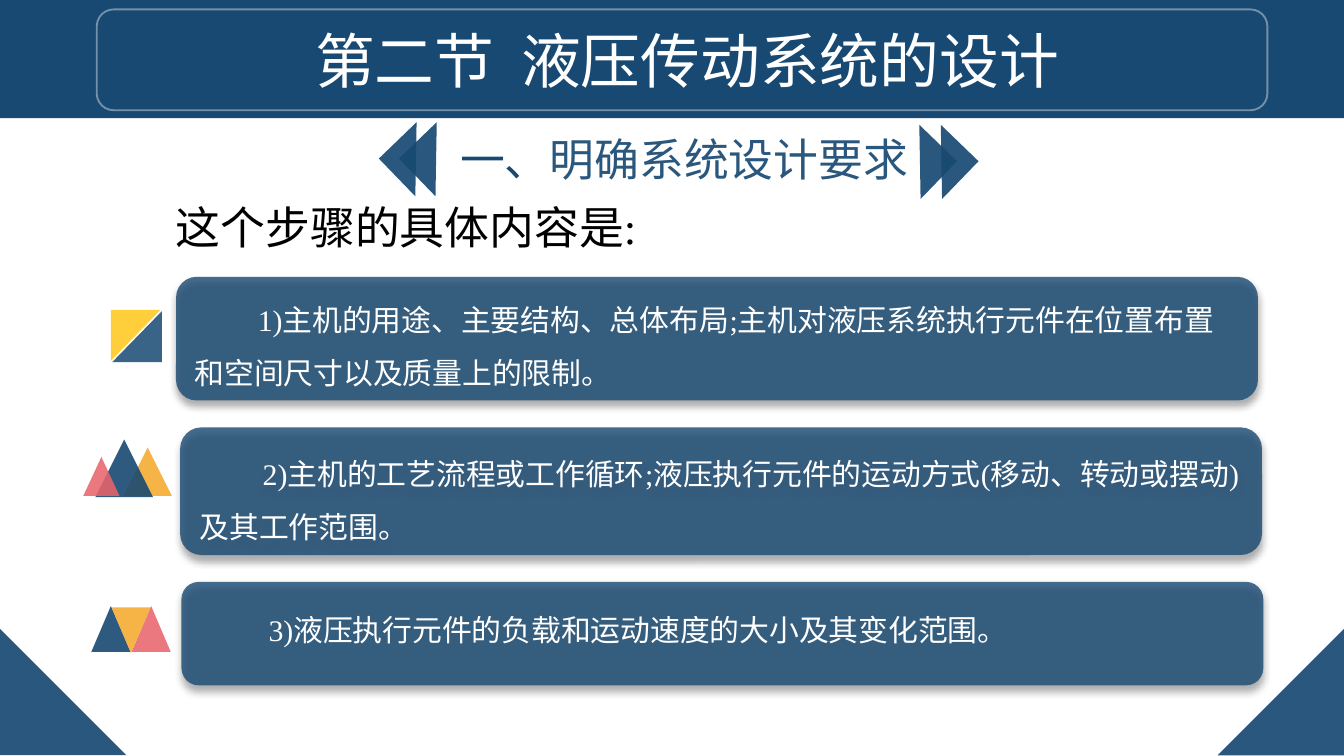
"""Build a slide on defining the design requirements of a hydraulic system."""
from lxml import etree
from pptx import Presentation
from pptx.dml.color import RGBColor
from pptx.enum import shapes, text
from pptx.oxml import ns
from pptx.util import Inches, Pt

THEME = {
    "font": "Times New Roman",
    "navy": "184972", "blue": "2A577D", "white": "FFFFFF", "black": "000000",
    "yellow": "FFC000", "orange": "F49F14", "red": "E8646B",
    "title": 32, "heading": 24, "item": 16, "tight": Pt(15.8),
}
SHAPE = shapes.MSO_SHAPE

TITLE = "第二节  液压传动系统的设计"
HEADING = [("一、", "navy"), ("明确系统设计要求", "blue")]
LEAD = "这个步骤的具体内容是:"
ITEMS = [
    "1)主机的用途、主要结构、总体布局;主机对液压系统执行元件在位置布置和空间尺寸以及质量上的限制。",
    "2)主机的工艺流程或工作循环;液压执行元件的运动方式(移动、转动或摆动)及其工作范围。",
    "3)液压执行元件的负载和运动速度的大小及其变化范围。",
]
CARDS = [(1.31, 2.06, 8.05, 0.92), (1.34, 3.18, 8.05, 0.95), (1.35, 4.33, 8.05, 0.77)]
ITEM_BOXES = [(1.35, 2.06, 7.97, 0.91), None, (1.43, 4.55, 6.89, 0.33)]
ITEM_SPACING = [1.5, 1.5, THEME["tight"]]
CHEVRONS = [(2.9, 0.99, 316, "V"), (3.05, 0.99, 316, "V"),
            (6.65, 1.01, 44, "HV"), (6.81, 1.01, 44, "HV")]
CORNERS = [(0, 270), (9.06, 180)]
ICONS = [
    [((0.83, 2.32, 0.38, 0.37), "navy", 85, 270, "", 0),
     ((0.82, 2.31, 0.38, 0.37), "yellow", 77, 270, "HV", 0)],
    [((0.92, 3.33, 0.36, 0.36), "orange", 78, 0, "H", 0.5),
     ((0.71, 3.27, 0.43, 0.43), "navy", 90, 0, "H", 0.5),
     ((0.62, 3.4, 0.27, 0.29), "red", 87, 0, "H", 0.5)],
    [((0.68, 4.51, 0.29, 0.34), "navy", 90, 0, "", 0.5),
     ((0.98, 4.51, 0.29, 0.34), "red", 87, 0, "", 0.5),
     ((0.83, 4.52, 0.29, 0.34), "orange", 78, 0, "V", 0.5)],
]


def set_color(fill, color, alpha=100):
    fill.solid()
    fill.fore_color.rgb = RGBColor.from_string(THEME[color])
    if alpha < 100:
        rgb = fill._xPr.find(".//" + ns.qn("a:srgbClr"))
        etree.SubElement(rgb, ns.qn("a:alpha"), val=str(alpha * 1000))


def add_filled(parent, kind, box, color, alpha=100, rotation=0, flip=""):
    part = parent.add_shape(kind, *map(Inches, box))
    part.shadow.inherit = False
    set_color(part.fill, color, alpha)
    part.line.fill.background()
    part.rotation = rotation
    for axis in flip:
        part._element.spPr.xfrm.set("flip" + axis, "1")
    return part


def add_card(parent, box):
    card = add_filled(parent, SHAPE.ROUNDED_RECTANGLE, box, "navy", 80)
    effects = card._element.spPr.find(ns.qn("a:effectLst"))
    shadow = etree.SubElement(effects, ns.qn("a:outerShdw"), blurRad=str(Pt(4)),
                              dist=str(Pt(3)), dir="5400000", rotWithShape="0")
    rgb = etree.SubElement(shadow, ns.qn("a:srgbClr"), val=THEME["black"])
    etree.SubElement(rgb, ns.qn("a:alpha"), val="40000")
    return card


def write(part, runs, size, align=text.PP_ALIGN.LEFT, anchor=text.MSO_ANCHOR.TOP,
          indent=0, spacing=None, wrap=True):
    frame = part.text_frame
    frame.auto_size = text.MSO_AUTO_SIZE.NONE
    frame.word_wrap = wrap
    frame.vertical_anchor = anchor
    paragraph = frame.paragraphs[0]
    paragraph.alignment = align
    if spacing:
        paragraph.line_spacing = spacing
    if indent:
        props = paragraph._p.get_or_add_pPr()
        props.set("marL", "0")
        props.set("indent", str(Inches(indent)))
    for words, color in runs:
        run = paragraph.add_run()
        run.text = words
        run.font.name = THEME["font"]
        run.font.size = Pt(THEME[size])
        run.font.color.rgb = RGBColor.from_string(THEME[color])


def main():
    deck = Presentation()
    deck.slide_width = Inches(10)
    deck.slide_height = deck.slide_width * 9 // 16
    slide = deck.slides.add_slide(deck.slide_layouts[5])
    parts = slide.shapes
    center = text.PP_ALIGN.CENTER

    def add_box(box):
        return parts.add_textbox(*map(Inches, box))

    add_filled(parts, SHAPE.RECTANGLE, (0, 0, 10, 0.88), "navy")
    write(add_box((1.97, 0.93, 6.24, 1.38)), HEADING, "heading", center)
    for left, top, rotation, flip in CHEVRONS:
        add_filled(parts, SHAPE.RIGHT_TRIANGLE, (left, top, 0.39, 0.39),
                   "navy", 92, rotation, flip)

    title_frame = parts.add_shape(SHAPE.ROUNDED_RECTANGLE,
                                  *map(Inches, (0.72, 0.07, 8.71, 0.75)))
    title_frame.shadow.inherit = False
    title_frame.fill.background()
    title_frame.line.width = Pt(1)
    set_color(title_frame.line.fill, "white", 40)

    title = parts.title
    title.left, title.top, title.width, title.height = map(
        Inches, (0.94, 0.13, 8.35, 1.18))
    write(title, [(TITLE, "white")], "title", center)
    parts._spTree.append(title._element)

    for left, rotation in CORNERS:
        add_filled(parts, SHAPE.RIGHT_TRIANGLE, (left, 4.68, 0.94, 0.94),
                   "navy", 92, rotation, "V")
    write(add_box((0.92, 1.62, 3.96, 0.34)), [(LEAD, "black")], "heading",
          indent=0.29, spacing=THEME["tight"], wrap=False)

    for item, card_box, item_box, spacing, icon in zip(
            ITEMS, CARDS, ITEM_BOXES, ITEM_SPACING, ICONS):
        card = add_card(parts, card_box)
        holder = add_box(item_box) if item_box else card
        anchor = text.MSO_ANCHOR.TOP if item_box else text.MSO_ANCHOR.MIDDLE
        write(holder, [(item, "white")], "item", anchor=anchor,
              indent=0.47, spacing=spacing)
        group = parts.add_group_shape()
        for box, color, alpha, rotation, flip, apex in icon:
            triangle = add_filled(group.shapes, SHAPE.ISOSCELES_TRIANGLE, box,
                                  color, alpha, rotation, flip)
            triangle.adjustments[0] = apex

    deck.save("out.pptx")


if __name__ == "__main__":
    main()
